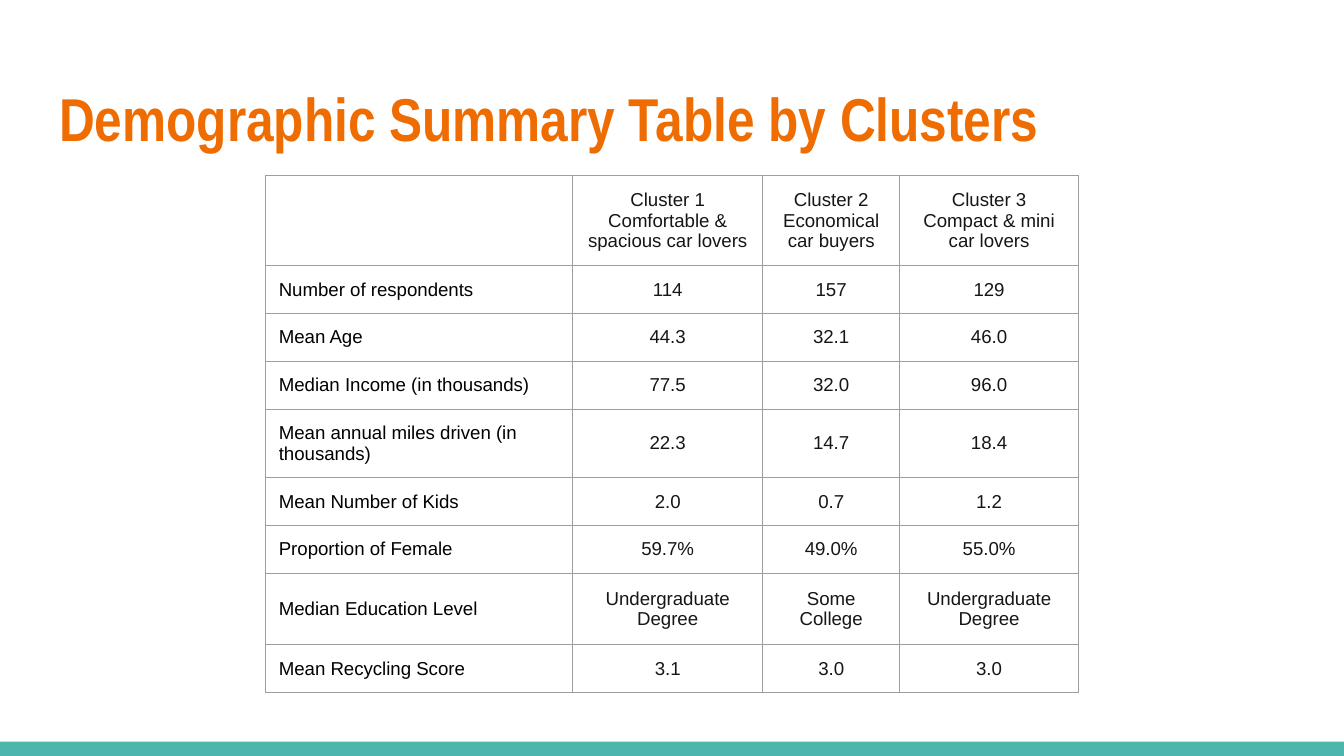
from dataclasses import dataclass

from lxml.etree import SubElement
from pptx import Presentation
from pptx.dml.color import RGBColor
from pptx.enum.shapes import MSO_SHAPE
from pptx.enum.text import MSO_ANCHOR, MSO_AUTO_SIZE, PP_ALIGN
from pptx.oxml.ns import qn
from pptx.util import Pt


@dataclass(frozen=True)
class Theme:
    heading: str = "EF6C00"
    label: str = "000000"
    value: str = "161616"
    grid: str = "9E9E9E"
    footer: str = "4DB6AC"
    heading_font: str = "Arial Narrow"
    body_font: str = "Arial"
    heading_size: float = 32.4
    body_size: float = 10
    grid_width: float = 0.75
    inset: float = 7.2


THEME = Theme()
HEADING = "Demographic Summary Table by Clusters"
CLUSTERS = [
    "",
    "Cluster 1 Comfortable & spacious car lovers",
    "Cluster 2\nEconomical car buyers",
    "Cluster 3\nCompact & mini car lovers",
]
MEASURES = [
    ("Number of respondents", "114", "157", "129"),
    ("Mean Age", "44.3", "32.1", "46.0"),
    ("Median Income (in thousands)", "77.5", "32.0", "96.0"),
    ("Mean annual miles driven (in thousands)", "22.3", "14.7", "18.4"),
    ("Mean Number of Kids", "2.0", "0.7", "1.2"),
    ("Proportion of Female", "59.7%", "49.0%", "55.0%"),
    ("Median Education Level", "Undergraduate Degree", "Some College", "Undergraduate Degree"),
    ("Mean Recycling Score", "3.1", "3.0", "3.0"),
]

SLIDE_WIDTH, SLIDE_HEIGHT = 720, 405
FOOTER_HEIGHT = 7.6
TABLE_LEFT, TABLE_TOP = 142.2, 94
COLUMN_WIDTHS = [164.6, 101.8, 73.4, 95.8]
ROW_HEIGHT = 25.5
TALL_ROWS = {0: 48.4, 4: 36.7, 7: 38.3}


def style_text(paragraph, font_name, size, color, align, bold=False):
    font = paragraph.font
    font.name, font.size, font.bold = font_name, Pt(size), bold
    font.color.rgb = RGBColor.from_string(color)
    paragraph.alignment = align


def set_insets(holder):
    holder.margin_left = holder.margin_right = Pt(THEME.inset)
    holder.margin_top = holder.margin_bottom = Pt(THEME.inset)


def add_borders(cell):
    properties = cell._tc.get_or_add_tcPr()
    for side in ("a:lnL", "a:lnR", "a:lnT", "a:lnB"):
        line = SubElement(properties, qn(side), w=str(Pt(THEME.grid_width)))
        fill = SubElement(line, qn("a:solidFill"))
        SubElement(fill, qn("a:srgbClr"), val=THEME.grid)


def add_footer(slide):
    footer = slide.shapes.add_shape(
        MSO_SHAPE.RECTANGLE, 0, Pt(SLIDE_HEIGHT - FOOTER_HEIGHT), Pt(SLIDE_WIDTH), Pt(FOOTER_HEIGHT))
    footer.shadow.inherit = False
    footer.fill.solid()
    footer.fill.fore_color.rgb = RGBColor.from_string(THEME.footer)
    footer.line.fill.background()


def fill_heading(slide):
    heading = slide.shapes.title
    heading.left, heading.top, heading.width, heading.height = Pt(24.5), Pt(35.3), Pt(671), Pt(55.4)
    frame = heading.text_frame
    frame.text = HEADING
    frame.word_wrap = True
    frame.auto_size = MSO_AUTO_SIZE.NONE
    frame.vertical_anchor = MSO_ANCHOR.MIDDLE
    set_insets(frame)
    style_text(frame.paragraphs[0], THEME.heading_font, THEME.heading_size,
               THEME.heading, PP_ALIGN.LEFT, bold=True)


def add_summary(slide):
    rows = [CLUSTERS, *MEASURES]
    heights = [TALL_ROWS.get(index, ROW_HEIGHT) for index in range(len(rows))]
    summary = slide.shapes.add_table(
        len(rows), len(CLUSTERS), Pt(TABLE_LEFT), Pt(TABLE_TOP),
        Pt(sum(COLUMN_WIDTHS)), Pt(sum(heights))).table
    summary.first_row = summary.horz_banding = False
    for column, width in zip(summary.columns, COLUMN_WIDTHS):
        column.width = Pt(width)
    for row, height, entries in zip(summary.rows, heights, rows):
        row.height = Pt(height)
        for position, (cell, entry) in enumerate(zip(row.cells, entries)):
            cell.text = entry
            cell.vertical_anchor = MSO_ANCHOR.MIDDLE
            set_insets(cell)
            add_borders(cell)
            cell.fill.background()
            color, align = (THEME.value, PP_ALIGN.CENTER) if position else (THEME.label, PP_ALIGN.LEFT)
            for paragraph in cell.text_frame.paragraphs:
                style_text(paragraph, THEME.body_font, THEME.body_size, color, align)


def main():
    deck = Presentation()
    deck.slide_width, deck.slide_height = Pt(SLIDE_WIDTH), Pt(SLIDE_HEIGHT)
    slide = deck.slides.add_slide(deck.slide_layouts.get_by_name("Title Only"))
    add_footer(slide)
    fill_heading(slide)
    add_summary(slide)
    deck.save("out.pptx")


if __name__ == "__main__":
    main()
